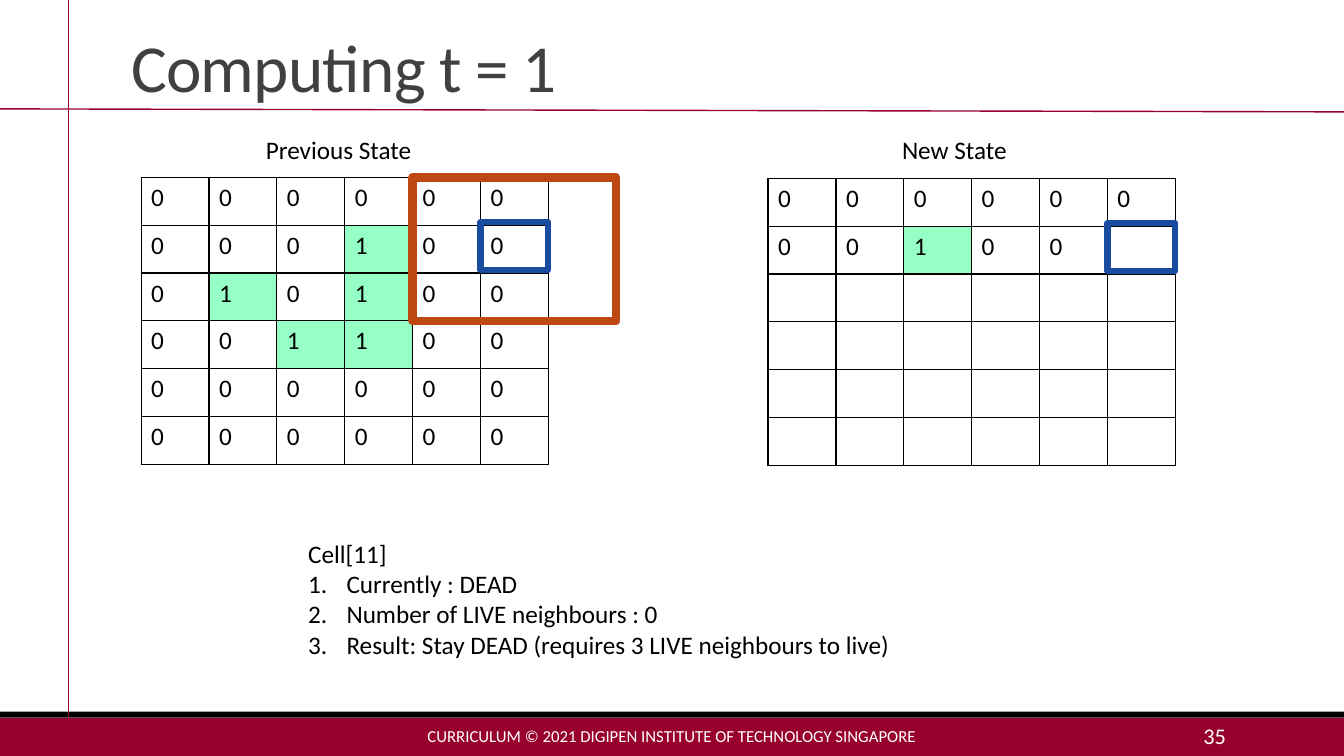
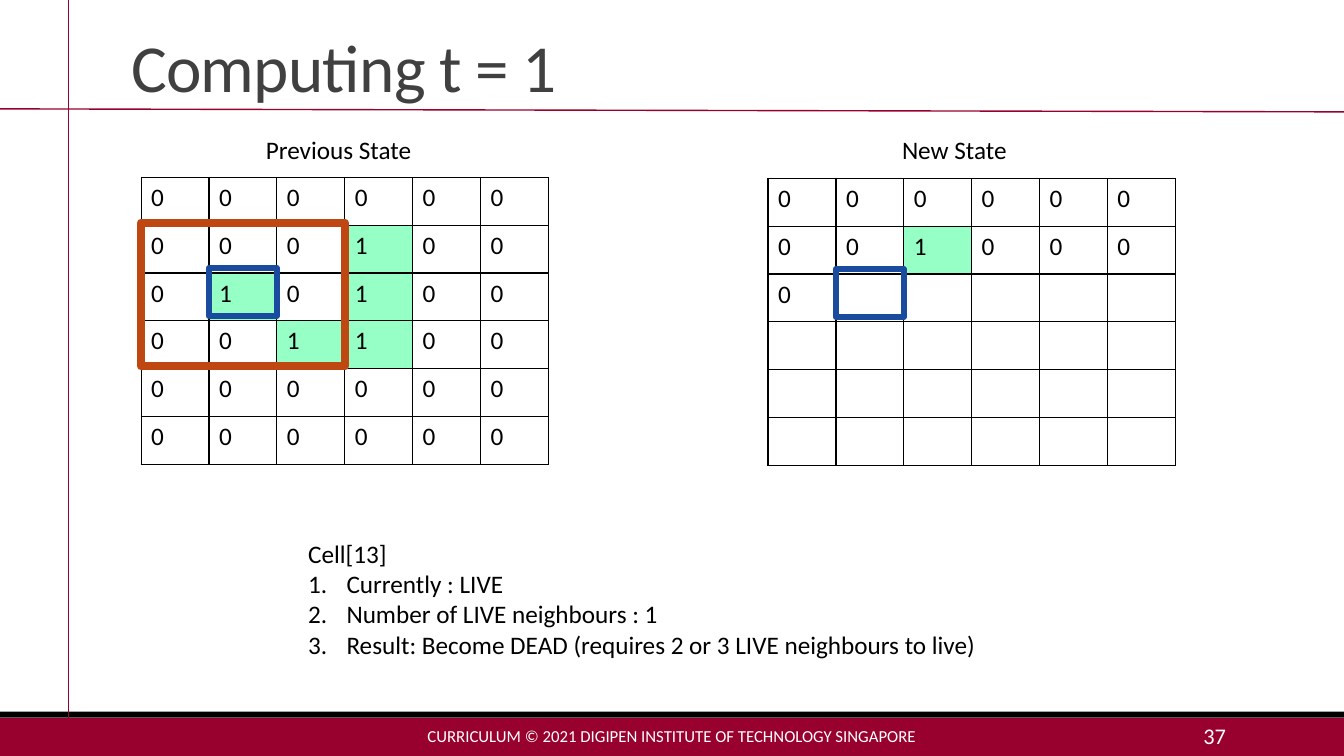
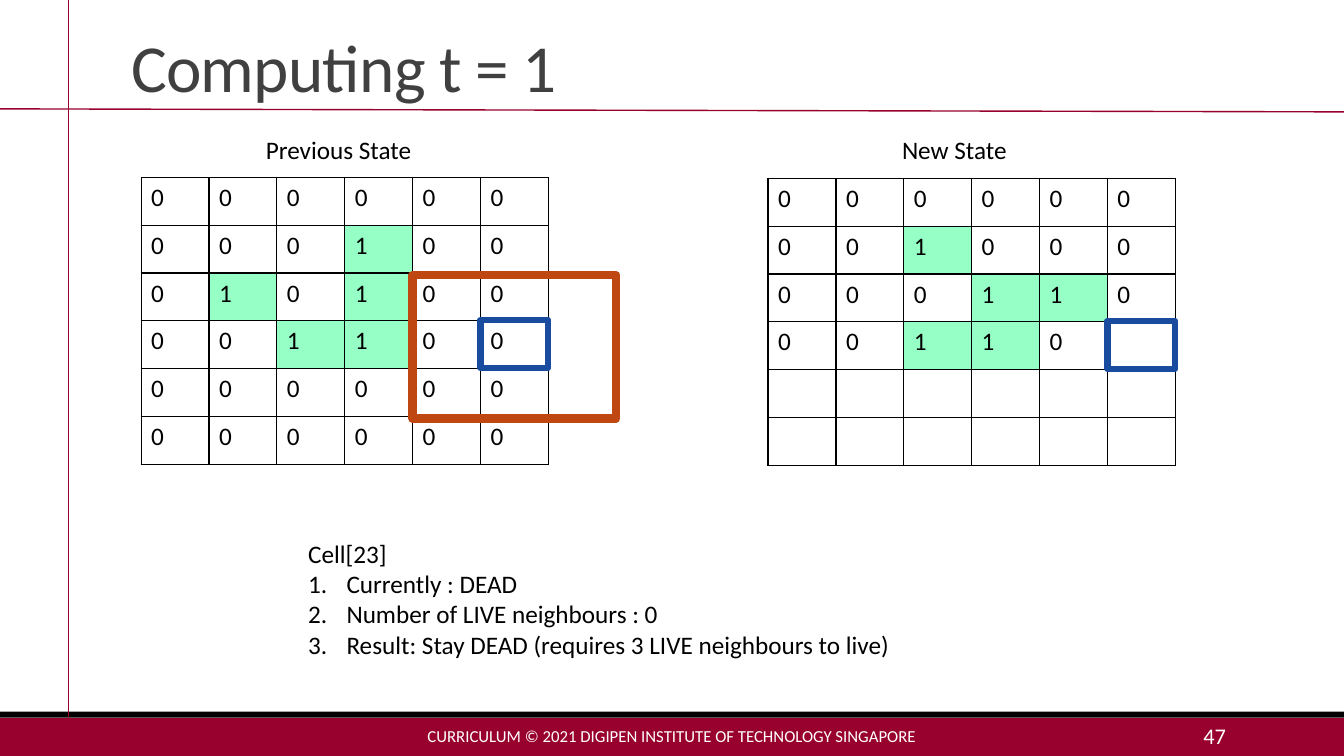
import pptx
import pptx.dml.color
import pptx.enum.shapes
import pptx.enum.text
import pptx.oxml
import pptx.oxml.ns
import pptx.util
import lxml.etree

WIDE, HIGH = pptx.util.Inches(13.333), pptx.util.Inches(7.5)
RED, BLACK, WHITE, GREY = "98012E", "000000", "FFFFFF", "404040"
GREEN, RUST, BLUE = "96FFC6", "BE4712", "194C9F"
SIDE = 6                  # cells on each side of a board
COL, ROW = 5.05, 6.33     # one cell, in percent of the slide
OLD_AT, NEW_AT = (10.5, 23.47), (57.15, 23.6)
OLD = "000000" "000100" "010100" "001100" "000000" "000000"
NEW = "000000" "001000" "000110" "00110"
FOOT = "CURRICULUM © 2021 DIGIPEN INSTITUTE OF TECHNOLOGY SINGAPORE"
ALIGN = pptx.enum.text.PP_ALIGN
ANCHOR = pptx.enum.text.MSO_ANCHOR
RECT = pptx.enum.shapes.MSO_SHAPE.RECTANGLE

STAY = "Result: Stay DEAD (requires 3 LIVE neighbours to live)"
DIE = "Result: Become DEAD (requires 2 or 3 LIVE neighbours to live)"
# page, cell index, state, neighbours, result, lift of cell frame and of area frame
STEPS = [
    (35, 11, "DEAD", 0, STAY, 0.4, 0),
    (37, 13, "LIVE", 1, DIE, 0.67, 0.33),
    (47, 23, "DEAD", 0, STAY, 0.13, -0.27),
]


def rgb(code):
    return pptx.dml.color.RGBColor.from_string(code)


def area(x, y, w, h):
    """Turn percent of the slide into lengths."""
    return [round(part * whole / 100)
            for part, whole in zip((x, y, w, h), (WIDE, HIGH) * 2)]


def write(par, text, size=18, color=BLACK):
    run = par.add_run()
    run.text = text
    look = {"size": pptx.util.Pt(size), "name": "Calibri"}
    for key, value in look.items():
        setattr(run.font, key, value)
    run.font.color.rgb = rgb(color)
    return run


def label(slide, box, text, align=ALIGN.LEFT, anchor=ANCHOR.TOP, **look):
    frame = slide.shapes.add_textbox(*area(*box)).text_frame
    frame.word_wrap = True
    frame.vertical_anchor = anchor
    par = frame.paragraphs[0]
    par.alignment = align
    write(par, text, **look)
    return frame


def rect(slide, box, fill=None, line=None, width=0):
    shape = slide.shapes.add_shape(RECT, *area(*box))
    shape.shadow.inherit = False
    for part, color in ((shape.fill, fill), (shape.line.fill, line)):
        if color:
            part.solid()
            part.fore_color.rgb = rgb(color)
        else:
            part.background()
    if line:
        shape.line.width = pptx.util.Pt(width)
    return shape


def rule(slide, ends):
    kind = pptx.enum.shapes.MSO_CONNECTOR.STRAIGHT
    line = slide.shapes.add_connector(kind, *area(*ends))
    line.line.color.rgb = rgb(RED)
    line.line.width = pptx.util.Pt(1)
    lxml.etree.SubElement(line.element.spPr, pptx.oxml.ns.qn("a:effectLst"))
    return line


def dress(layout, slide):
    """Draw the shared bands and rules, then move them to the layout."""
    parts = [
        rect(slide, (0, 95, 100, 5), fill=RED),
        rect(slide, (0, 94.13, 100, 0.8), fill=BLACK),
        rule(slide, (5.1, 0, 5.1, 95)),
        rule(slide, (0, 14.4, 100, 14.8)),
    ]
    for part in parts:
        layout.shapes.element.append(part.element)


def head(slide, text):
    title = slide.shapes.title
    title.left, title.top, title.width, title.height = area(9, 2.13, 82.5, 12.53)
    frame = title.text_frame
    look = {"word_wrap": True, "vertical_anchor": ANCHOR.BOTTOM,
            "auto_size": pptx.enum.text.MSO_AUTO_SIZE.NONE}
    for key, value in look.items():
        setattr(frame, key, value)
    par = frame.paragraphs[0]
    par.alignment, par.line_spacing = ALIGN.LEFT, 0.85
    run = write(par, text, 48, GREY)
    run.font._element.set("spc", "-50")


def foot(slide, page):
    label(slide, (30.23, 94.67, 39.53, 5.33), FOOT, ALIGN.CENTER,
          ANCHOR.MIDDLE, size=12, color=WHITE)
    label(slide, (81.23, 94.67, 10.73, 5.33), str(page), ALIGN.RIGHT,
          ANCHOR.MIDDLE, size=16, color=WHITE)


def edge(cell):
    """Put a thin black border on all sides of a cell."""
    space = pptx.oxml.ns.nsdecls("a")
    for side in "LRTB":
        cell._tc.get_or_add_tcPr().append(pptx.oxml.parse_xml(
            f'<a:ln{side} {space} w="{pptx.util.Pt(1)}"><a:solidFill>'
            f'<a:srgbClr val="{BLACK}"/></a:solidFill></a:ln{side}>'))


def board(slide, at, name, shift, state, base=None):
    """Place a named board; shift is where its name starts from its left."""
    x, y = at
    label(slide, (x + shift, 17.07, 13.2, 5.33), name)
    box = area(x, y, SIDE * COL, SIDE * ROW)
    table = slide.shapes.add_table(SIDE, SIDE, *box).table
    table.first_row = table.horz_banding = False
    for spot, cell in enumerate(table.iter_cells()):
        mark = state[spot:spot + 1]
        edge(cell)
        color = GREEN if mark == "1" else base
        if color:
            cell.fill.solid()
            cell.fill.fore_color.rgb = rgb(color)
        else:
            cell.fill.background()
        if mark:
            write(cell.text_frame.paragraphs[0], mark)


def mark(slide, at, cell, span, lift, color, width):
    """Frame span x span cells whose centre is the given cell."""
    row, col = divmod(cell, SIDE)
    back = span // 2
    rect(slide, (at[0] + (col - back) * COL, at[1] + (row - back) * ROW - lift,
                 span * COL, span * ROW), line=color, width=width)


def notes(slide, cell, items):
    frame = label(slide, (22.2, 70.53, 57.38, 17.47), f"Cell[{cell}]")
    dent = pptx.util.Inches(0.38)
    for item in items:
        par = frame.add_paragraph()
        props = par._p.get_or_add_pPr()
        props.set("marL", str(dent))
        props.set("indent", str(-dent))
        lxml.etree.SubElement(props, pptx.oxml.ns.qn("a:buAutoNum"),
                              type="arabicPeriod")
        write(par, item)


def step(slide, page, cell, state, count, result, lift, rise):
    head(slide, "Computing t = 1")
    foot(slide, page)
    board(slide, OLD_AT, "Previous State", 8.55, OLD)
    board(slide, NEW_AT, "New State", 9.23, NEW[:cell], WHITE)
    notes(slide, cell, [f"Currently : {state}",
                        f"Number of LIVE neighbours : {count}", result])
    mark(slide, OLD_AT, cell, 3, rise, RUST, 6)
    for at in (OLD_AT, NEW_AT):
        mark(slide, at, cell, 1, lift, BLUE, 4.5)


def main():
    deck = pptx.Presentation()
    deck.slide_width, deck.slide_height = WIDE, HIGH
    layout = deck.slide_layouts.get_by_name("Title Only")
    slides = [deck.slides.add_slide(layout) for _ in STEPS]
    dress(layout, slides[0])
    for slide, data in zip(slides, STEPS):
        step(slide, *data)
    deck.save("out.pptx")


if __name__ == "__main__":
    main()
